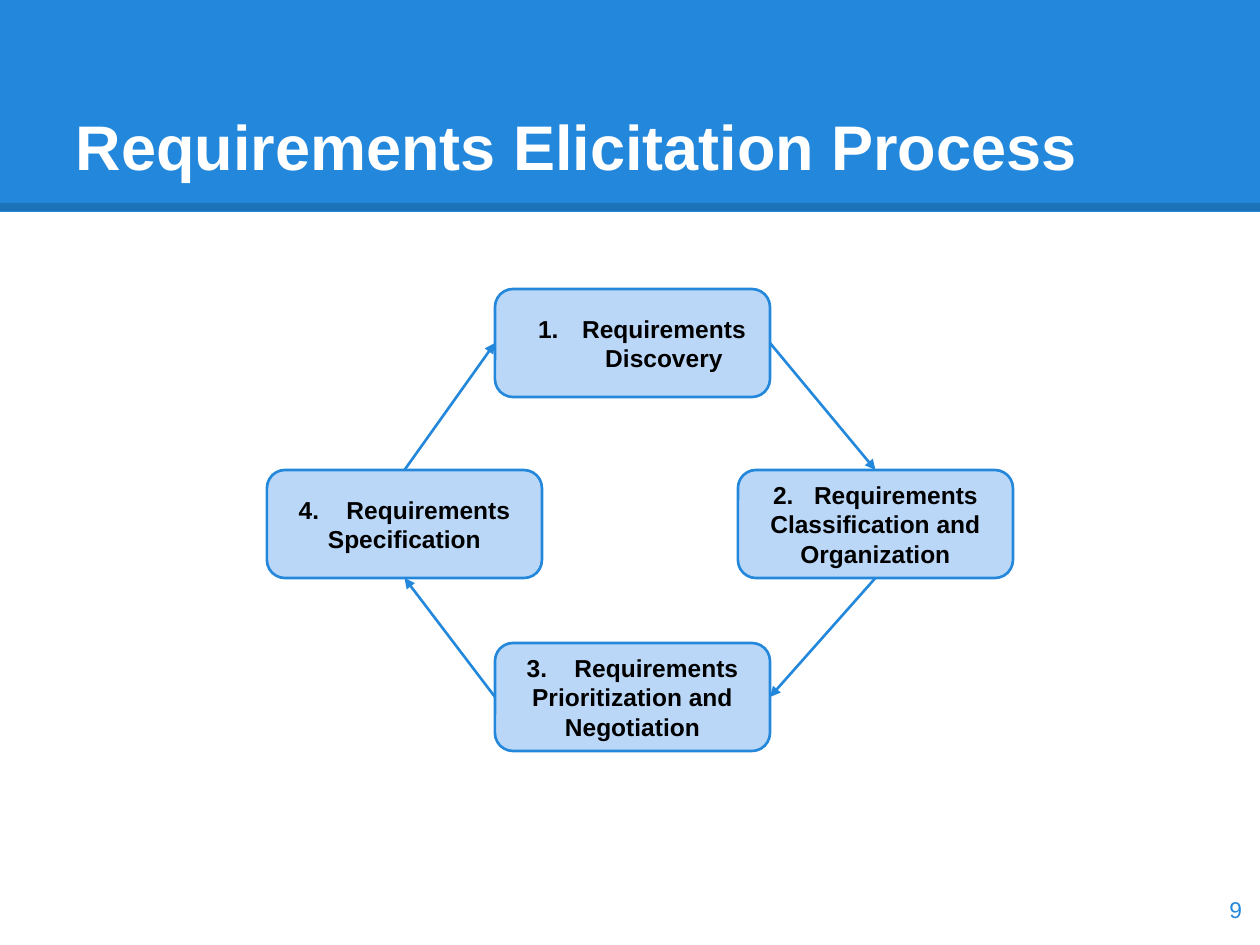
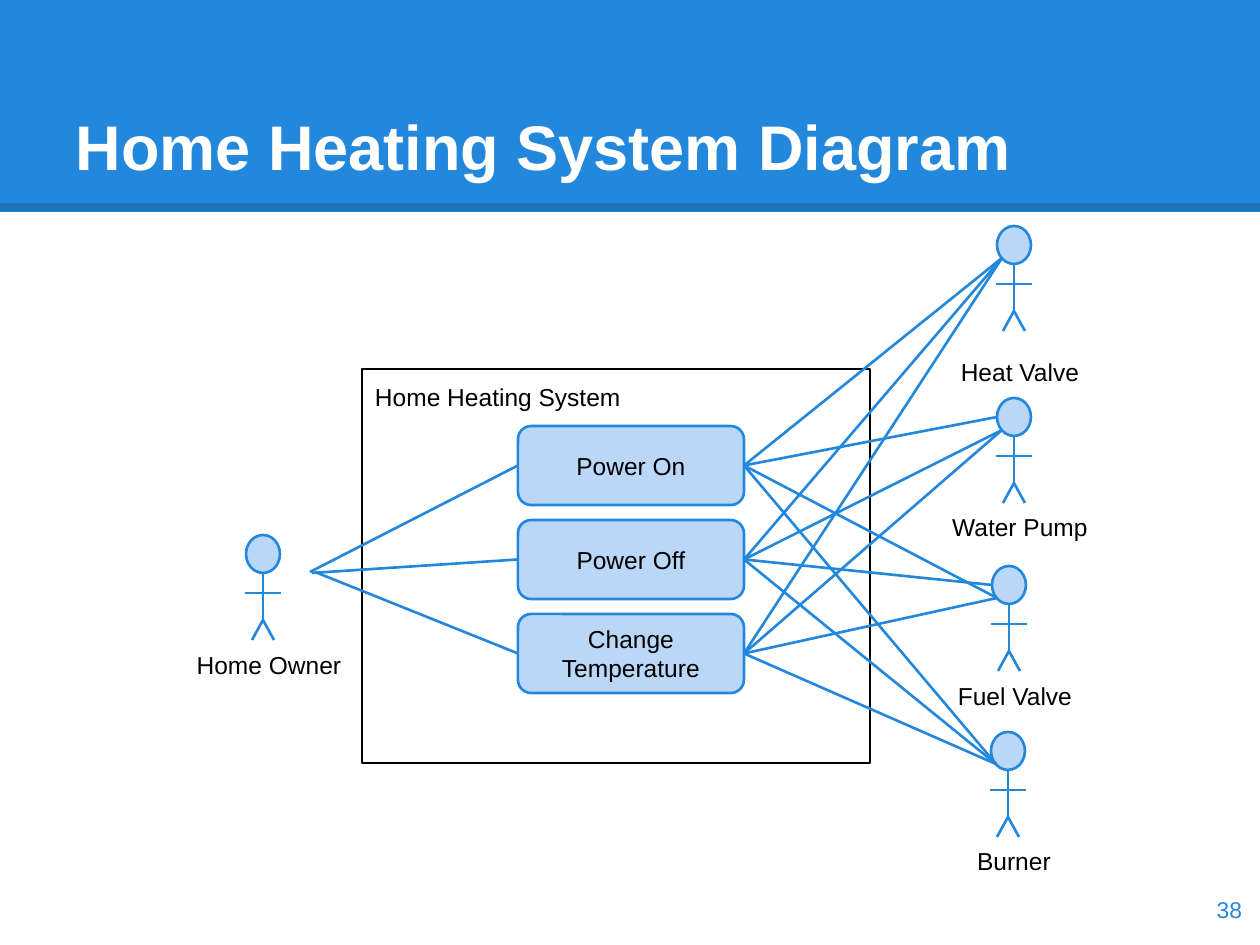
import pptx
import pptx.dml.color
import pptx.enum.shapes
import pptx.enum.text
import pptx.oxml
import pptx.oxml.ns
import pptx.util
from lxml import etree

RGB = pptx.dml.color.RGBColor
SHAPE = pptx.enum.shapes.MSO_SHAPE
ALIGN = pptx.enum.text.PP_ALIGN
ANCHOR = pptx.enum.text.MSO_ANCHOR
qn = pptx.oxml.ns.qn

BLUE = RGB(0x23, 0x88, 0xDB)
PALE = RGB(0xBB, 0xD7, 0xF8)
BLACK = RGB(0, 0, 0)
WHITE = RGB(255, 255, 255)

PX = 914400 / 126
TOP, LEFT, BOTTOM, RIGHT = range(4)

TITLE_FONT = {"name": "Arial", "size": pptx.util.Pt(36), "bold": True}
STAGE_FONT = {"name": "Arial", "size": pptx.util.Pt(14), "bold": True}
LABEL_FONT = {"name": "Arial", "size": pptx.util.Pt(14), "bold": False}
NUMBER_FONT = {"name": "Arial", "size": pptx.util.Pt(13), "bold": False}
INSET = round(13 * PX)
FRAME = {"word_wrap": True, "margin_left": INSET, "margin_right": INSET,
         "margin_top": INSET, "margin_bottom": INSET}

PROCESS_TITLE, PROCESS_NUMBER = "Requirements Elicitation Process", "9"
STAGE_SIZE = (275, 108)
STAGES = [
    ("", "Requirements Discovery", (495, 289), 0),
    ("2.", "Requirements Classification and Organization", (738, 470), 780),
    ("3.", "Requirements Prioritization and Negotiation", (495, 643), 1170),
    ("4.", "Requirements Specification", (267, 470), 1170),
]
STAGE_SIDES = [(RIGHT, TOP), (BOTTOM, RIGHT), (LEFT, BOTTOM), (TOP, LEFT)]

HEATING_TITLE, HEATING_NUMBER = "Home Heating System Diagram", "38"
SYSTEM = ("Home Heating System", (362, 369, 508, 394))
USE_CASES = ["Power On", "Power Off", "Change Temperature"]
USE_CASE_BOX, USE_CASE_PITCH = (518, 426, 226, 79), 94
OWNER = ("Home Owner", 263, 535, 102)
OWNER_ENDS = [(310, 572), (312, 573), (315, 572)]
DEVICES = [
    ("Heat Valve", 1014, 226, 118, None),
    ("Water Pump", 1014, 398, 101, "Power On"),
    ("Fuel Valve", 1009, 566, 102, "Power Off"),
    ("Burner", 1008, 732, 101, None),
]
HEAD_WIDTH, HEAD_HEIGHT = 34, 38
LABEL_WIDTH, LABEL_HEIGHT, LABEL_SHIFT = 178, 38, 6
LIMBS = [((0, 38), (0, 85)), ((0, 85), (-11, 105)),
         ((0, 85), (11, 105)), ((-18, 58), (18, 58))]


def emu(lengths):
    return [round(length * PX) for length in lengths]


def apply(target, values):
    for name, value in values.items():
        setattr(target, name, value)


def add_run(paragraph, text, font, colour):
    run = paragraph.add_run()
    run.text = text
    apply(run.font, font)
    run.font.color.rgb = colour
    return run


def prepare(shape, align, anchor):
    apply(shape.text_frame, {**FRAME, "vertical_anchor": anchor})
    paragraph = shape.text_frame.paragraphs[0]
    paragraph.alignment = align
    return paragraph


def add_text(slide, box, text, font, colour, align, anchor):
    label = slide.shapes.add_textbox(*emu(box))
    add_run(prepare(label, align, anchor), text, font, colour)


def add_box(slide, preset, box, fill=PALE, outline=BLUE):
    shape = slide.shapes.add_shape(preset, *emu(box))
    shape.shadow.inherit = False
    shape.fill.solid()
    shape.fill.fore_color.rgb = fill
    if outline is None:
        shape.line.fill.background()
    else:
        shape.line.color.rgb = outline
        shape.line.width = pptx.util.Pt(1.5)
    return shape


def add_line(slide, start, end, colour=BLUE, weight=1.5):
    line = slide.shapes.add_connector(
        pptx.enum.shapes.MSO_CONNECTOR.STRAIGHT, *emu((*start, *end)))
    line.line.color.rgb = colour
    line.line.width = pptx.util.Pt(weight)
    etree.SubElement(line.element.spPr, qn("a:effectLst"))
    return line


def add_arrowhead(line):
    outline = line.element.spPr.find(qn("a:ln"))
    etree.SubElement(outline, qn("a:tailEnd"), type="triangle")


def number_paragraph(paragraph):
    properties = paragraph._p.get_or_add_pPr()
    properties.set("marL", str(round(63 * PX)))
    properties.set("indent", str(round(-44 * PX)))
    bullet_colour = etree.SubElement(properties, qn("a:buClr"))
    etree.SubElement(bullet_colour, qn("a:srgbClr"), val=str(BLACK))
    etree.SubElement(properties, qn("a:buFont"), typeface="Arial")
    etree.SubElement(properties, qn("a:buAutoNum"), type="arabicPeriod")


def start_slide(deck, title, number):
    slide = deck.slides.add_slide(deck.slide_layouts[6])
    add_box(slide, SHAPE.RECTANGLE, (0, 0, 1260, 212), BLUE, None)
    rule = add_line(slide, (0, 207), (1260, 207), BLACK, 4.5)
    shade = next(rule.element.spPr.iter(qn("a:srgbClr")))
    etree.SubElement(shade, qn("a:alpha"), val="15000")
    add_text(slide, (63, 38, 1134, 158), title, TITLE_FONT, WHITE,
             ALIGN.LEFT, ANCHOR.BOTTOM)
    add_text(slide, (1179, 873, 76, 72), number, NUMBER_FONT, BLUE,
             ALIGN.RIGHT, ANCHOR.MIDDLE)
    return slide


def add_stage(slide, number, name, corner, gap):
    stage = add_box(slide, SHAPE.ROUNDED_RECTANGLE, (*corner, *STAGE_SIZE))
    paragraph = prepare(stage, ALIGN.CENTER, ANCHOR.MIDDLE)
    if number:
        add_run(paragraph, number, STAGE_FONT, BLACK)
        space = add_run(paragraph, " ", STAGE_FONT, BLACK)
        space._r.get_or_add_rPr().set("spc", str(gap))
    else:
        number_paragraph(paragraph)
    add_run(paragraph, name, STAGE_FONT, BLACK)
    return stage


def build_process(deck):
    slide = start_slide(deck, PROCESS_TITLE, PROCESS_NUMBER)
    stages = [add_stage(slide, *stage) for stage in STAGES]
    following = stages[1:] + stages[:1]
    for stage, target, (leave, arrive) in zip(stages, following, STAGE_SIDES):
        arrow = add_line(slide, (0, 0), (0, 0))
        arrow.begin_connect(stage, leave)
        arrow.end_connect(target, arrive)
        add_arrowhead(arrow)


def add_actor(slide, name, centre, top, label_drop):
    head = (centre - HEAD_WIDTH // 2, top, HEAD_WIDTH, HEAD_HEIGHT)
    add_box(slide, SHAPE.OVAL, head)
    for limb in LIMBS:
        add_line(slide, *[(centre + x, top + y) for x, y in limb])
    label_left = centre + LABEL_SHIFT - LABEL_WIDTH // 2
    add_text(slide, (label_left, top + label_drop, LABEL_WIDTH, LABEL_HEIGHT),
             name, LABEL_FONT, BLACK, ALIGN.CENTER, ANCHOR.TOP)


def build_heating(deck):
    slide = start_slide(deck, HEATING_TITLE, HEATING_NUMBER)
    system_name, system_box = SYSTEM
    system = add_box(slide, SHAPE.RECTANGLE, system_box, WHITE, BLACK)
    add_run(prepare(system, ALIGN.LEFT, ANCHOR.TOP), system_name, LABEL_FONT, BLACK)

    left, top, width, height = USE_CASE_BOX
    use_cases = {}
    for row, name in enumerate(USE_CASES):
        box = (left, top + row * USE_CASE_PITCH, width, height)
        use_cases[name] = add_box(slide, SHAPE.ROUNDED_RECTANGLE, box)
        add_run(prepare(use_cases[name], ALIGN.CENTER, ANCHOR.MIDDLE),
                name, LABEL_FONT, BLACK)

    add_actor(slide, *OWNER)
    for owner_end, use_case in zip(OWNER_ENDS, use_cases.values()):
        add_line(slide, owner_end, owner_end).end_connect(use_case, LEFT)

    for device, centre, head_top, label_drop, level_case in DEVICES:
        add_actor(slide, device, centre, head_top, label_drop)
        for name, use_case in use_cases.items():
            dx, dy = (-17, 19) if name == level_case else (-12, 32)
            device_end = (centre + dx, head_top + dy)
            add_line(slide, device_end, device_end).begin_connect(use_case, RIGHT)


def main():
    deck = pptx.Presentation()
    deck.slide_width, deck.slide_height = emu((1260, 945))
    build_process(deck)
    build_heating(deck)
    deck.save("out.pptx")


if __name__ == "__main__":
    main()
